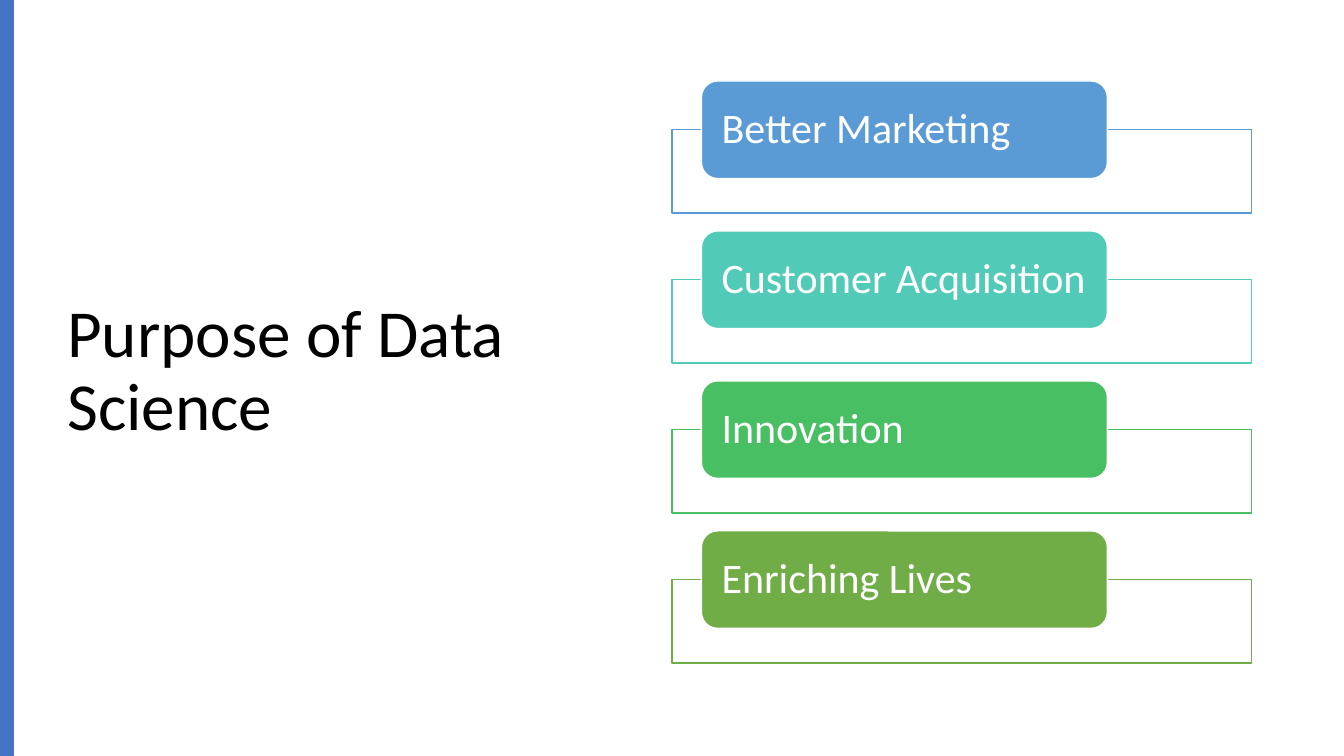
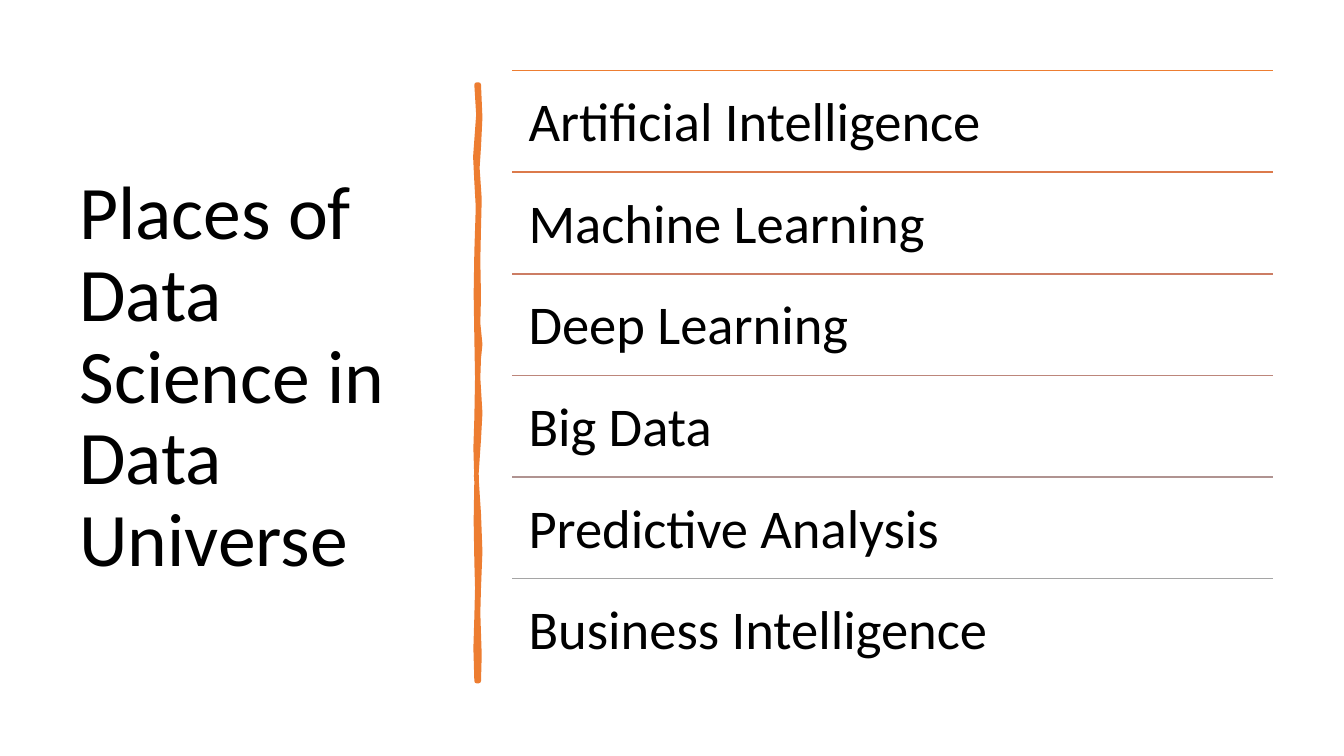
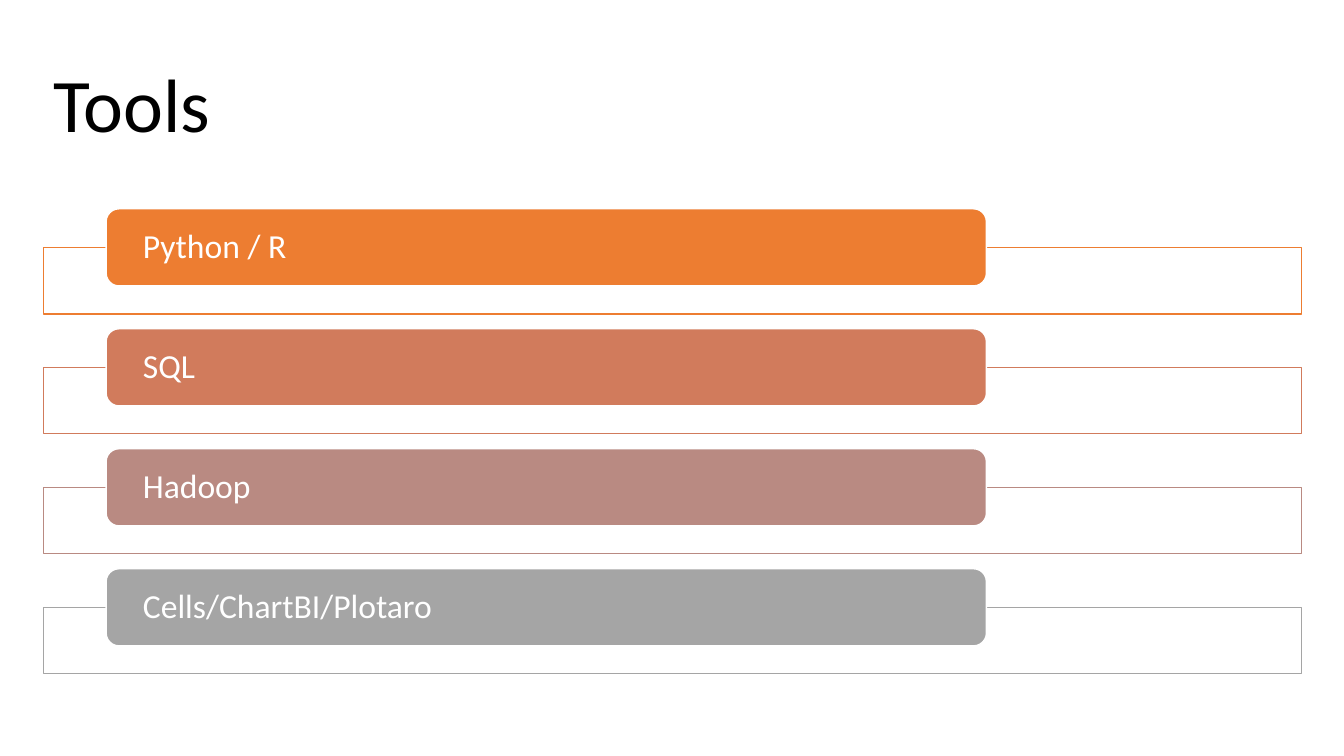
from pptx import Presentation
from pptx.dml.color import RGBColor
from pptx.enum import shapes, text
from pptx.oxml import parse_xml
from pptx.oxml.ns import nsdecls
from pptx.util import Pt

BLACK, WHITE, BLUE, ORANGE, GREY = "000000", "FFFFFF", "4472C4", "ED7D31", "A5A5A5"
FONT = "Calibri"


def paint(part, fill=None, line=None, width=1):
    """Set fill and line by hex string, without shadow; None means no line."""
    if fill:
        part.fill.solid()
        part.fill.fore_color.rgb = RGBColor.from_string(fill)
    if line:
        part.line.color.rgb = RGBColor.from_string(line)
        part.line.width = Pt(width)
    else:
        part.line.fill.background()
    part.shadow.inherit = False


def write(part, words, size, color=BLACK, anchor=text.MSO_ANCHOR.MIDDLE,
          spacing=0.9, left=7.2, top=3.6, right=7.2, bottom=3.6):
    frame = part.text_frame
    frame.word_wrap = True
    frame.vertical_anchor = anchor
    frame.margin_left, frame.margin_top = Pt(left), Pt(top)
    frame.margin_right, frame.margin_bottom = Pt(right), Pt(bottom)
    paragraph = frame.paragraphs[0]
    paragraph.alignment = text.PP_ALIGN.LEFT
    paragraph.line_spacing = spacing
    run = paragraph.add_run()
    run.text = words
    run.font.name, run.font.size = FONT, Pt(size)
    run.font.color.rgb = RGBColor.from_string(color)


deck = Presentation()
deck.slide_width, deck.slide_height = Pt(960), Pt(540)
blank = deck.slide_layouts[6]

titles = [
    ("Purpose of Data Science", 48, (41, 49, 408, 433.5)),
    ("Places of Data Science in Data Universe", 54, (49.7, 50.4, 269.3, 440)),
    ("Tools", 54, (31, 25.2, 898.5, 104.4)),
]
for words, size, box in titles:
    slide = deck.slides.add_slide(blank)
    write(slide.shapes.add_textbox(*map(Pt, box)), words, size)
purpose, places, tools = deck.slides

# Purpose: accent along the left edge
edge = purpose.shapes.add_shape(shapes.MSO_SHAPE.RECTANGLE, 0, 0, Pt(10), Pt(540))
paint(edge, fill=BLUE)

# Purpose and Tools: each label bar is centred on the top side of its frame
label_lists = [
    dict(slide=purpose, top=92.7, pitch=107.1, size=30, inset=11,
         frame=(480, 414, 59.5), bar=(501, 290, 69.7),
         labels=[("Better Marketing", "5B9BD5"), ("Customer Acquisition", "52CAB8"),
                 ("Innovation", "49BF64"), ("Enriching Lives", "70AD47")]),
    dict(slide=tools, top=176.7, pitch=85.7, size=24, inset=23.6,
         frame=(31, 898.5, 47.5), bar=(75.8, 628.8, 55.1),
         labels=[("Python / R", ORANGE), ("SQL", "D17B5C"),
                 ("Hadoop", "B98A82"), ("Cells/ChartBI/Plotaro", GREY)]),
]
for group in label_lists:
    frame_left, frame_width, frame_height = group["frame"]
    bar_left, bar_width, bar_height = group["bar"]
    drawn = group["slide"].shapes
    for row, (words, color) in enumerate(group["labels"]):
        top = group["top"] + row * group["pitch"]
        frame = drawn.add_shape(shapes.MSO_SHAPE.RECTANGLE, Pt(frame_left), Pt(top),
                                Pt(frame_width), Pt(frame_height))
        paint(frame, fill=WHITE, line=color)
        bar = drawn.add_shape(shapes.MSO_SHAPE.ROUNDED_RECTANGLE, Pt(bar_left),
                              Pt(top - bar_height / 2), Pt(bar_width), Pt(bar_height))
        paint(bar, fill=color, line=WHITE)
        write(bar, words, group["size"], color=WHITE,
              left=group["inset"], top=0, right=0, bottom=0)

# Places: hand-drawn divider, down its right edge and up its left
right_edge = [(342, 60.5), (343, 84), (342, 105), (341, 120), (342.5, 142), (342, 163),
              (341.5, 186), (342, 212), (341.5, 231), (343, 246), (342, 256),
              (341.5, 270), (343, 295), (342, 314), (340.2, 340), (342, 367),
              (343, 394), (342, 420), (341.5, 438), (342.5, 468), (342, 486.5)]
left_edge = [(340.5, 486.5), (339.8, 463), (340.5, 441), (341, 420), (340.5, 401),
             (340, 372), (340.5, 343), (339.8, 320), (340.5, 299), (341, 270),
             (340.5, 241), (340, 210), (340.5, 180), (341.5, 148), (340.5, 130),
             (339.6, 112), (341.8, 82), (340.5, 60.5)]
outline = [(Pt(x), Pt(y)) for x, y in right_edge + left_edge]
pen = places.shapes.build_freeform(*outline[0])
pen.add_line_segments(outline[1:], close=True)
paint(pen.convert_to_shape(), fill=ORANGE, line=ORANGE, width=3.25)

# Places: ruled list
fields = [("Artificial Intelligence", ORANGE), ("Machine Learning", "DC7A4B"),
          ("Deep Learning", "CC7D64"), ("Big Data", "BD867B"),
          ("Predictive Analysis", "B09391"), ("Business Intelligence", GREY)]
list_left, list_width, list_top, pitch = 365.8, 543.5, 50.4, 72.6
for row, (words, color) in enumerate(fields):
    top = list_top + row * pitch
    rule = places.shapes.add_connector(shapes.MSO_CONNECTOR.STRAIGHT, Pt(list_left), Pt(top),
                                       Pt(list_left + list_width), Pt(top))
    rule.line.color.rgb = RGBColor.from_string(color)
    rule.line.width = Pt(1)
    rule._element.spPr.append(parse_xml(f"<a:effectLst {nsdecls('a')}/>"))
    field = places.shapes.add_textbox(Pt(list_left), Pt(top), Pt(list_width), Pt(pitch))
    write(field, words, 39, anchor=text.MSO_ANCHOR.TOP, spacing=1.0,
          left=11.7, top=11.7, right=11.7, bottom=11.7)

deck.save("out.pptx")
